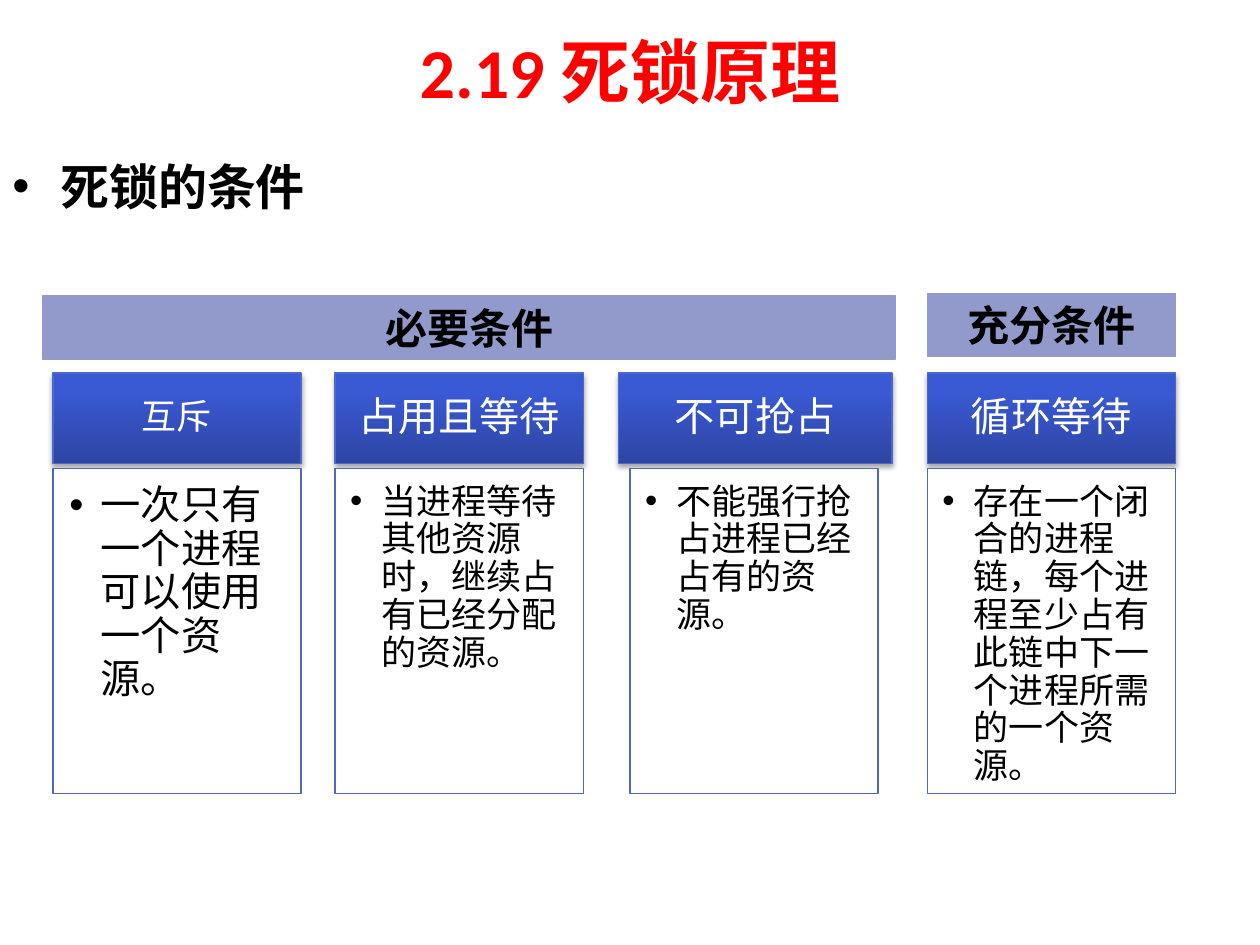
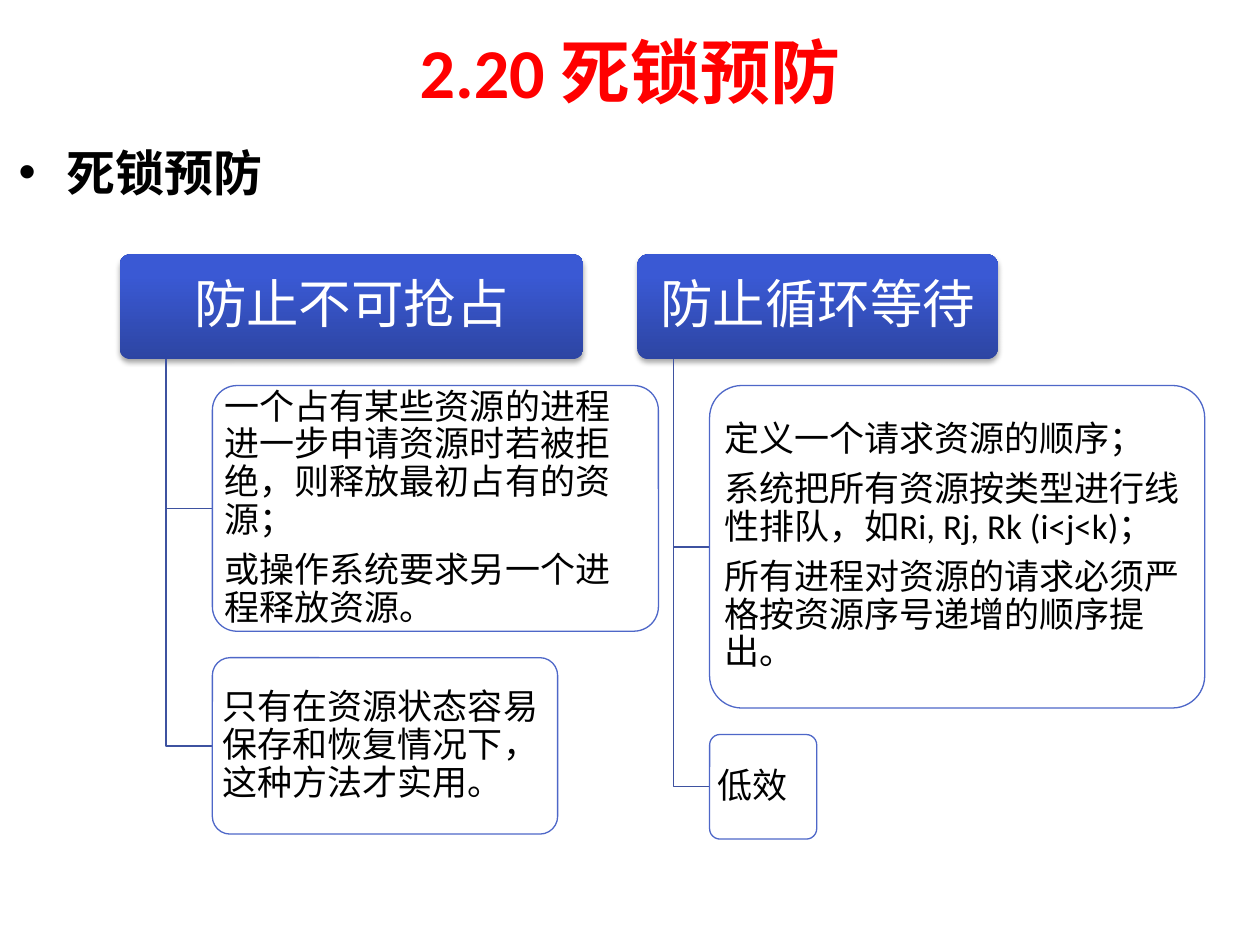
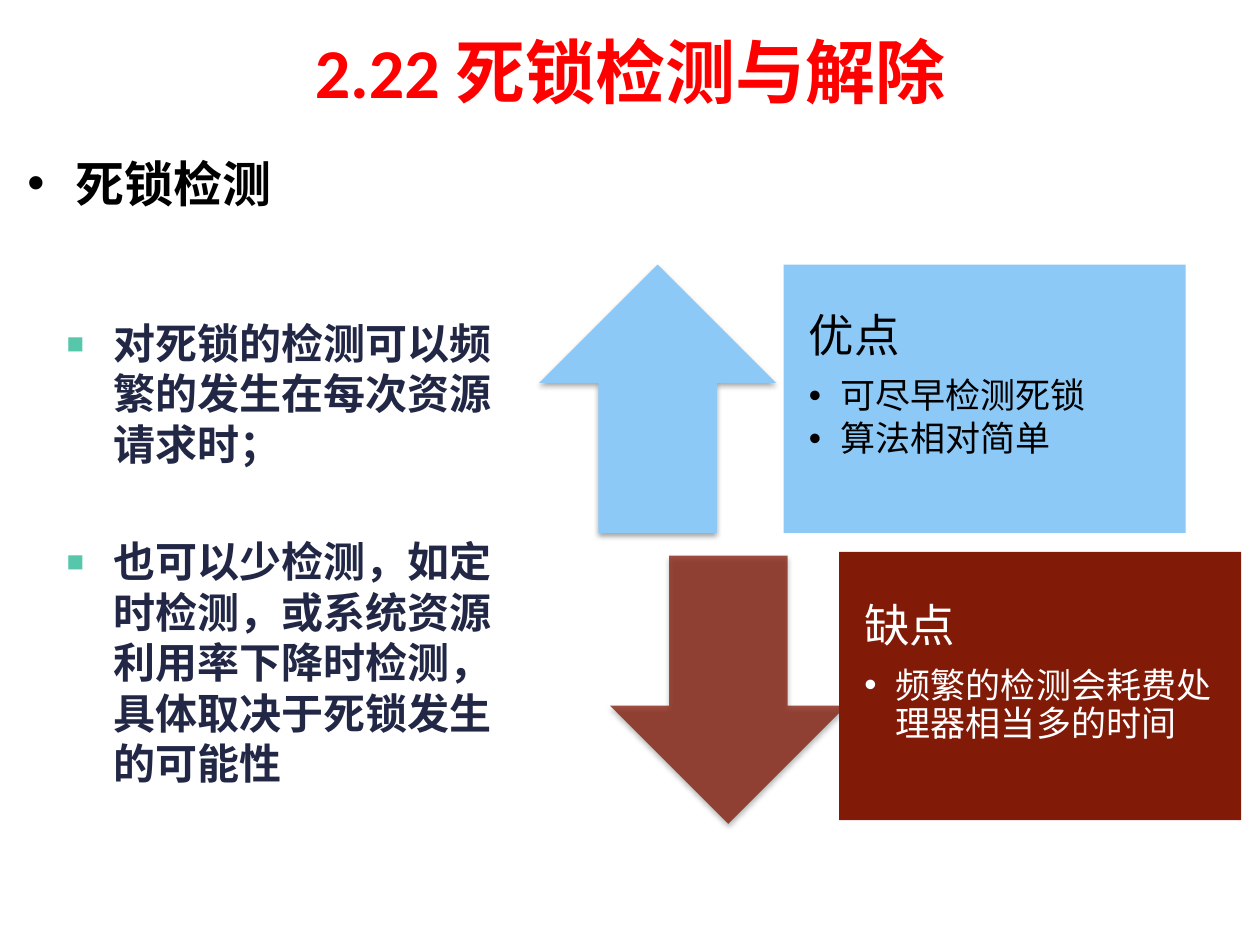
from copy import deepcopy
from dataclasses import dataclass

from lxml import etree
from pptx import Presentation
from pptx.dml.color import RGBColor as RGB
from pptx.enum.lang import MSO_LANGUAGE_ID as LANG
from pptx.enum.shapes import MSO_SHAPE as SHAPE
from pptx.enum.text import MSO_ANCHOR as ANCHOR, PP_ALIGN as ALIGN
from pptx.oxml.ns import qn
from pptx.util import Inches, Pt


@dataclass(frozen=True)
class Theme:
    # Colours
    title: str = "FF0000"
    black: str = "000000"
    white: str = "FFFFFF"
    navy: str = "212745"
    green: str = "56C7AA"
    outline: str = "4E67C8"
    branch: str = "3E52A0"
    band: str = "919ACA"
    pro: str = "8CC9F7"
    con: str = "821A08"
    gradient: tuple = ((0, "2D45A3"), (0.8, "3A59D4"), (1, "3758D7"))
    # Fonts and type sizes
    head_font: str = "Arial"
    body_font: str = "Calibri"
    title_size: int = 40
    head_size: int = 28
    node_size: int = 30
    label_size: int = 26
    band_size: int = 24
    large_size: int = 23
    text_size: int = 20


T = Theme()
INSETS = (0.1, 0.05, 0.1, 0.05)


def child(parent, tag, **attrs):
    return etree.SubElement(parent, qn(tag), {k: str(v) for k, v in attrs.items()})


def add_bullet(p, char, indent, color=None, percent=None):
    pPr = p._p.get_or_add_pPr()
    pPr.set("marL", str(Inches(indent)))
    pPr.set("indent", str(-Inches(indent)))
    if color:
        child(child(pPr, "a:buClr"), "a:srgbClr", val=color)
    if percent:
        child(pPr, "a:buSzPct", val=percent * 1000)
    child(pPr, "a:buFont", typeface="Arial")
    child(pPr, "a:buChar", char=char)


def add_paragraph(p, text, size=T.text_size, color=T.black, font=T.body_font, bold=False,
                  align=ALIGN.LEFT, line=None, before=0, after=0, bullet=None):
    """Write one paragraph; before and after are shares of the type size."""
    p.alignment = align
    p.line_spacing = line
    p.space_before, p.space_after = Pt(before * size), Pt(after * size)
    # Keep closing punctuation inside the margin
    p._p.get_or_add_pPr().set("hangingPunct", "0")
    if bullet:
        add_bullet(p, **bullet)
    r = p.add_run()
    r.text = text
    r.font.size, r.font.name, r.font.bold = Pt(size), font, bold
    r.font.color.rgb = RGB.from_string(color)
    r.font.language_id = LANG.SIMPLIFIED_CHINESE


def write(sp, *items, anchor=ANCHOR.TOP, insets=INSETS, **fmt):
    """Fill a shape with text; an item is a string or (string, own format)."""
    tf = sp.text_frame
    tf.word_wrap, tf.vertical_anchor = True, anchor
    tf.margin_left, tf.margin_top, tf.margin_right, tf.margin_bottom = map(Inches, insets)
    for i, item in enumerate(items):
        text, own = (item, {}) if isinstance(item, str) else item
        p = tf.add_paragraph() if i else tf.paragraphs[0]
        add_paragraph(p, text, **{**fmt, **own})


def add_textbox(slide, box, *items, **fmt):
    write(slide.shapes.add_textbox(*map(Inches, box)), *items, **fmt)


def add_gradient(sp):
    sp.fill.gradient()
    sp.fill.gradient_angle = 90
    stop_list = sp._element.spPr.find(qn("a:gradFill")).find(qn("a:gsLst"))
    stop_list.append(deepcopy(stop_list[-1]))
    for stop, (position, color) in zip(sp.fill.gradient_stops, T.gradient):
        stop.position = position
        stop.color.rgb = RGB.from_string(color)


def set_line(sp, color):
    if color:
        sp.line.color.rgb = RGB.from_string(color)
        sp.line.width = Pt(0.75)
    else:
        sp.line.fill.background()


def add_box(slide, kind, box, fill=None, line=None, alpha=None, shadow=False):
    """Draw a preset shape; without a fill colour it takes the blue gradient."""
    sp = slide.shapes.add_shape(kind, *map(Inches, box))
    if kind == SHAPE.ROUNDED_RECTANGLE:
        sp.adjustments[0] = 0.1
    if fill:
        sp.fill.solid()
        sp.fill.fore_color.rgb = RGB.from_string(fill)
    else:
        add_gradient(sp)
    if alpha:
        color = sp._element.spPr.find(qn("a:solidFill"))[0]
        child(color, "a:alpha", val=alpha * 1000)
    set_line(sp, line)
    sp.shadow.inherit = False
    if shadow:
        effects = sp._element.spPr.find(qn("a:effectLst"))
        outer = child(effects, "a:outerShdw", blurRad=Pt(3.1), dist=Pt(1.8),
                      dir=90 * 60000, rotWithShape=0)
        child(child(outer, "a:srgbClr", val=T.black), "a:alpha", val=35000)
    return sp


def new_slide(prs, title, heading, heading_box):
    slide = prs.slides.add_slide(prs.slide_layouts[6])
    add_textbox(slide, (0.5, 0.05, 9, 1.02), title, size=T.title_size, color=T.title,
                bold=True, align=ALIGN.CENTER, anchor=ANCHOR.MIDDLE)
    add_textbox(slide, heading_box, heading, size=T.head_size, font=T.head_font,
                bold=True, bullet=dict(char="•", indent=0.38))
    return slide


# Slide 1: conditions
def add_band(slide, box, text):
    sp = add_box(slide, SHAPE.RECTANGLE, box, T.band, T.band)
    write(sp, text, size=T.band_size, font=T.head_font, bold=True, align=ALIGN.CENTER)


def add_condition(slide, box, name, text, name_size=T.large_size, text_size=T.text_size,
                  overhang=(0, 0)):
    """A header over a text card; overhang widens the header left and right."""
    x, y, w, h = box
    left, right = overhang
    header_h, pitch = 0.72, 0.76
    header = add_box(slide, SHAPE.RECTANGLE, (x - left, y, w + left + right, header_h),
                     line=T.outline, shadow=True)
    write(header, name, size=name_size, color=T.white, align=ALIGN.CENTER, line=0.9,
          after=0.35, anchor=ANCHOR.MIDDLE, insets=(0.18, 0.1, 0.18, 0.1))
    card = add_box(slide, SHAPE.RECTANGLE, (x, y + pitch, w, h - pitch), T.white, T.outline)
    insets = (0.13, 0.13, 0.18, 0.2) if text_size > T.text_size else (0.12, 0.12, 0.16, 0.17)
    write(card, text, size=text_size, line=0.9, after=0.15, insets=insets,
          bullet=dict(char="•", indent=0.25))


def build_conditions(prs):
    slide = new_slide(prs, "2.19 死锁原理", "死锁的条件", (0, 1.19, 9, 0.55))
    conditions = (
        (0.42, "互斥", "一次只有一个进程可以使用一个资源。",
         dict(name_size=T.text_size, text_size=T.large_size)),
        (2.66, "占用且等待", "当进程等待其他资源时，继续占有已经分配的资源。", {}),
        (5, "不可抢占", "不能强行抢占进程已经占有的资源。", dict(overhang=(0.09, 0.11))),
        (7.36, "循环等待", "存在一个闭合的进程链，每个进程至少占有此链中下一个进程所需的一个资源。", {}),
    )
    for x, name, text, options in conditions:
        add_condition(slide, (x, 2.96, 1.97, 3.34), name, text, **options)
    add_band(slide, (0.34, 2.35, 6.77, 0.5), "必要条件")
    add_band(slide, (7.36, 2.33, 1.97, 0.5), "充分条件")


# Slide 2: prevention
def add_elbow(slide, start, end):
    (x1, y1), (x2, y2) = [tuple(map(Inches, point)) for point in (start, end)]
    builder = slide.shapes.build_freeform(x1, y1)
    builder.add_line_segments([(x1, y2), (x2, y2)], close=False)
    sp = builder.convert_to_shape()
    sp.fill.background()
    set_line(sp, T.branch)
    sp.shadow.inherit = False


def add_tree(slide, box, name, leaves):
    """A header with leaves below it, each leaf given as (width, height, texts)."""
    x, y, w, h = box
    gap = 0.21
    trunk_x, leaf_x, leaf_y = x + w / 10, x + w / 5, y + h + gap
    header = add_box(slide, SHAPE.ROUNDED_RECTANGLE, box, shadow=True)
    write(header, name, size=T.node_size, color=T.white, align=ALIGN.CENTER, line=0.9,
          after=0.35, anchor=ANCHOR.MIDDLE, insets=(0.06, 0.04, 0.06, 0.04))
    for leaf_w, leaf_h, texts in leaves:
        add_elbow(slide, (trunk_x, y + h), (leaf_x, leaf_y + leaf_h / 2))
        leaf = add_box(slide, SHAPE.ROUNDED_RECTANGLE, (leaf_x, leaf_y, leaf_w, leaf_h),
                       T.white, T.outline, alpha=90)
        write(leaf, *texts, line=0.9, after=0.35, anchor=ANCHOR.MIDDLE,
              insets=(0.04, 0.03, 0.07, 0.03))
        leaf_y += leaf_h + gap


def build_prevention(prs):
    slide = new_slide(prs, "2.20 死锁预防", "死锁预防", (0.05, 1.08, 9, 0.92))
    add_tree(slide, (0.95, 2.02, 3.68, 0.83), "防止不可抢占", (
        (3.54, 1.95, ("一个占有某些资源的进程进一步申请资源时若被拒绝，则释放最初占有的资源；",
                      "或操作系统要求另一个进程释放资源。")),
        (2.74, 1.4, ("只有在资源状态容易保存和恢复情况下，这种方法才实用。",)),
    ))
    add_tree(slide, (5.06, 2.02, 2.86, 0.83), "防止循环等待", (
        (3.93, 2.56, ("定义一个请求资源的顺序；",
                      "系统把所有资源按类型进行线性排队，如Ri, Rj, Rk (i<j<k)；",
                      "所有进程对资源的请求必须严格按资源序号递增的顺序提出。")),
        (0.85, 0.83, ("低效",)),
    ))


# Slide 3: detection
def add_verdict(slide, arrow, box, arrow_at, fill, color, label, points, alpha=None):
    """A panel of points with its arrow, placed by an offset from the panel."""
    x, y, w, h = box
    dx, dy = arrow_at
    add_box(slide, arrow, (x + dx, y + dy, 1.88, h), fill, alpha=alpha, shadow=True)
    panel = add_box(slide, SHAPE.RECTANGLE, box, fill)
    point = dict(after=0.15, bullet=dict(char="•", indent=0.25))
    write(panel, (label, dict(size=T.label_size, after=0.35)), *((s, point) for s in points),
          color=color, line=0.9, anchor=ANCHOR.MIDDLE, insets=(0.2, 0, 0.2, 0.2))


def build_detection(prs):
    slide = new_slide(prs, "2.22 死锁检测与解除", "死锁检测", (0.12, 1.17, 9, 0.61))
    add_verdict(slide, SHAPE.UP_ARROW, (6.22, 2.1, 3.19, 2.13), (-1.94, 0), T.pro, T.black,
                "优点", ("可尽早检测死锁", "算法相对简单"))
    add_verdict(slide, SHAPE.DOWN_ARROW, (6.66, 4.38, 3.19, 2.13), (-1.82, 0.03), T.con, T.white,
                "缺点", ("频繁的检测会耗费处理器相当多的时间",), alpha=76)
    add_textbox(slide, (0.42, 2.47, 3.83, 4.07),
                "对死锁的检测可以频繁的发生在每次资源请求时；",
                ("也可以少检测，如定时检测，或系统资源利用率下降时检测，具体取决于死锁发生的可能性",
                 dict(before=1.6)),
                size=T.band_size, color=T.navy, bold=True,
                bullet=dict(char="▪", indent=0.38, color=T.green, percent=135))


def main():
    prs = Presentation()
    prs.slide_width, prs.slide_height = Inches(10), Inches(7.5)
    build_conditions(prs)
    build_prevention(prs)
    build_detection(prs)
    prs.save("out.pptx")


if __name__ == "__main__":
    main()
